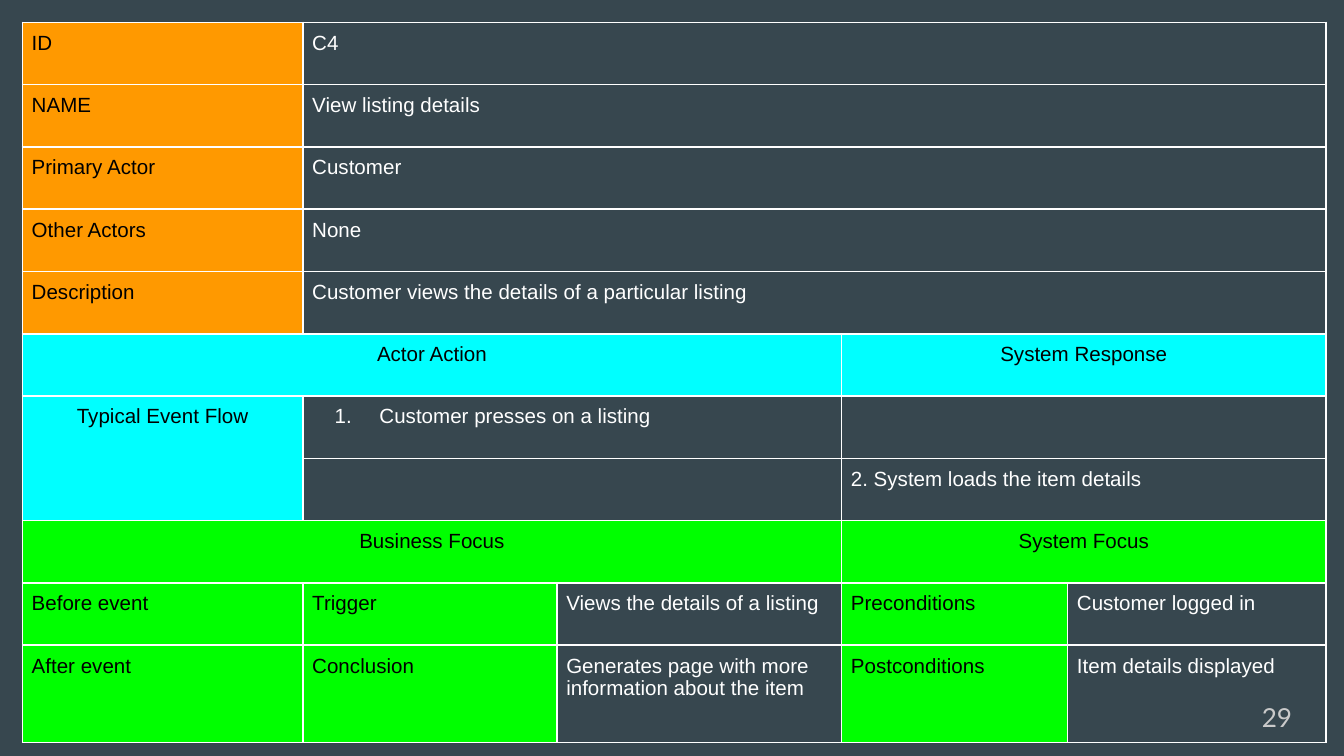
from dataclasses import dataclass

from lxml import etree
from pptx import Presentation
from pptx.dml.color import RGBColor
from pptx.enum import text
from pptx.oxml import ns
from pptx.util import Pt


@dataclass(frozen=True)
class Theme:
    """Colours, fonts and sizes of the slide."""
    page: str = "37474F"
    light: str = "FFFFFF"
    dark: str = "000000"
    muted: str = "CACACA"
    identity: str = "FF9900"
    flow: str = "00FFFF"
    focus: str = "00FF00"
    body_font: str = "Arial"
    number_font: str = "Lato"
    body_size: float = 11
    number_size: float = 14
    rule: float = 1
    inset: float = 5


@dataclass(frozen=True)
class Entry:
    """One table cell with its spans, fill and text treatment."""
    words: str
    wide: int = 1
    fill: str = ""
    tall: int = 1
    centred: bool = False
    numbered: bool = False


THEME = Theme()
COLUMNS = [150.3, 136.1, 152.5, 121.1, 138.5]
ROW_HEIGHT, LAST_HEIGHT = 33.37, 52.2

DETAILS = [
    ("ID", "C4"),
    ("NAME", "View listing details"),
    ("Primary Actor", "Customer"),
    ("Other Actors", "None"),
    ("Description", "Customer views the details of a particular listing"),
]
OUTCOMES = [
    ("Before event", "Trigger", "Views the details of a listing",
     "Preconditions", "Customer logged in"),
    ("After event", "Conclusion", "Generates page with more information about the item",
     "Postconditions", "Item details displayed"),
]


def heading_row(left, right, fill):
    """Return the two centred headings of a section."""
    return [Entry(left, 3, fill, centred=True), Entry(right, 2, fill, centred=True)]


def use_case_rows():
    """Return all table rows as lists of entries."""
    rows = [[Entry(label, fill=THEME.identity), Entry(value, 4)] for label, value in DETAILS]
    rows.append(heading_row("Actor Action", "System Response", THEME.flow))
    rows.append([Entry("Typical Event Flow", fill=THEME.flow, tall=2, centred=True),
                 Entry("Customer presses on a listing", 2, numbered=True), Entry("", 2)])
    rows.append([Entry("", 2), Entry("2. System loads the item details", 2)])
    rows.append(heading_row("Business Focus", "System Focus", THEME.focus))
    for outcome in OUTCOMES:
        rows.append([Entry(words, fill="" if column in (2, 4) else THEME.focus)
                     for column, words in enumerate(outcome)])
    return rows


def add_element(parent, tag, **attributes):
    """Append a drawing element to a parent."""
    return etree.SubElement(parent, ns.qn(tag), attributes)


def set_font(para, name, size, colour):
    """Set the font of a whole paragraph."""
    para.font.name = name
    para.font.size = Pt(size)
    para.font.color.rgb = RGBColor.from_string(colour)


def style_cell(cell, fill):
    """Give a cell its borders, margins and fill."""
    properties = cell._tc.get_or_add_tcPr()
    for side in ("L", "R", "T", "B"):
        line = add_element(properties, f"a:ln{side}", w=str(Pt(THEME.rule)))
        solid = add_element(line, "a:solidFill")
        add_element(solid, "a:srgbClr", val=THEME.light)
    cell.margin_left = cell.margin_right = Pt(THEME.inset)
    cell.margin_top = cell.margin_bottom = Pt(THEME.inset)
    if fill:
        cell.fill.solid()
        cell.fill.fore_color.rgb = RGBColor.from_string(fill)
    else:
        cell.fill.background()


def number_paragraph(para):
    """Turn a paragraph into an automatically numbered item."""
    properties = para._p.get_or_add_pPr()
    properties.set("marL", str(Pt(36)))
    properties.set("indent", str(Pt(-24)))
    colour = add_element(properties, "a:buClr")
    add_element(colour, "a:srgbClr", val=THEME.light)
    add_element(properties, "a:buFont", typeface=THEME.body_font)
    add_element(properties, "a:buAutoNum", type="arabicPeriod")


def write_entry(cell, entry):
    """Write the words of an entry into its cell."""
    para = cell.text_frame.paragraphs[0]
    if entry.words:
        para.add_run().text = entry.words
    if entry.numbered:
        number_paragraph(para)
    if entry.centred:
        para.alignment = text.PP_ALIGN.CENTER
    set_font(para, THEME.body_font, THEME.body_size, THEME.dark if entry.fill else THEME.light)


def place_entry(table, row, column, entry):
    """Merge, style and fill the cells that an entry covers."""
    for r in range(row, row + entry.tall):
        for c in range(column, column + entry.wide):
            style_cell(table.cell(r, c), entry.fill)
    cell = table.cell(row, column)
    if entry.wide > 1 or entry.tall > 1:
        cell.merge(table.cell(row + entry.tall - 1, column + entry.wide - 1))
    write_entry(cell, entry)


def add_use_case_table(page):
    """Add the use case table."""
    rows = use_case_rows()
    heights = [ROW_HEIGHT] * (len(rows) - 1) + [LAST_HEIGHT]
    table = page.shapes.add_table(len(rows), len(COLUMNS), Pt(12), Pt(12),
                                  Pt(sum(COLUMNS)), Pt(sum(heights))).table
    table.first_row = table.horz_banding = False
    for column, width in zip(table.columns, COLUMNS):
        column.width = Pt(width)
    for row, height in zip(table.rows, heights):
        row.height = Pt(height)
    for r, entries in enumerate(rows):
        column = 0
        for entry in entries:
            while table.cell(r, column).is_spanned:
                column += 1
            place_entry(table, r, column, entry)
            column += entry.wide


def add_page_number(page, number):
    """Add the page number at the lower right."""
    box = page.shapes.add_textbox(Pt(668.9), Pt(368.6), Pt(43.2), Pt(31))
    frame = box.text_frame
    frame.word_wrap = True
    frame.vertical_anchor = text.MSO_ANCHOR.MIDDLE
    frame.margin_left = frame.margin_right = Pt(7.2)
    frame.margin_top = frame.margin_bottom = Pt(7.2)
    para = frame.paragraphs[0]
    para.add_run().text = number
    set_font(para, THEME.number_font, THEME.number_size, THEME.muted)


def main():
    """Build the use case slide and save it."""
    deck = Presentation()
    deck.slide_width, deck.slide_height = Pt(720), Pt(405)
    page = deck.slides.add_slide(deck.slide_layouts[6])
    page.background.fill.solid()
    page.background.fill.fore_color.rgb = RGBColor.from_string(THEME.page)
    add_page_number(page, "29")
    add_use_case_table(page)
    deck.save("out.pptx")


if __name__ == "__main__":
    main()
